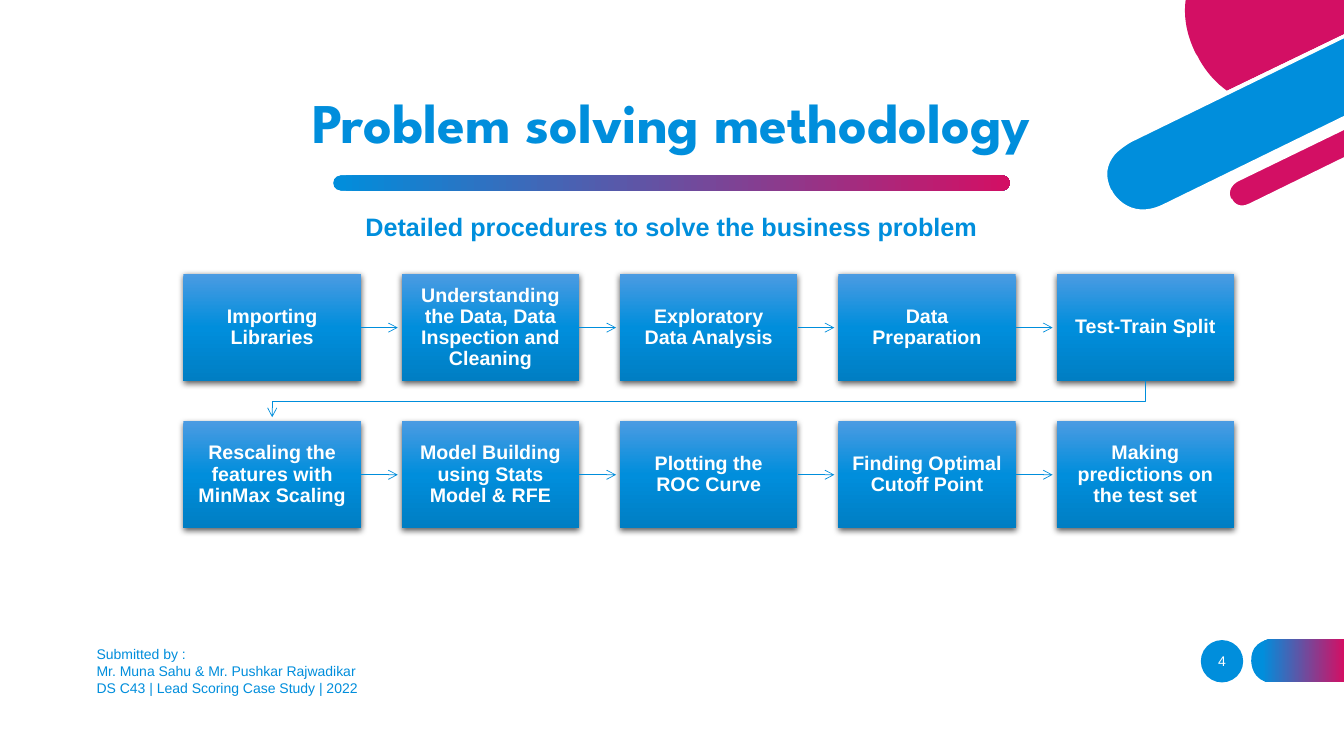
from lxml import etree
from pptx import Presentation
from pptx.dml.color import RGBColor
from pptx.enum.shapes import MSO_CONNECTOR as Connector, MSO_SHAPE as Shape
from pptx.enum.text import MSO_ANCHOR as Anchor, PP_ALIGN as Align
from pptx.oxml import parse_xml
from pptx.oxml.ns import nsdecls, qn
from pptx.util import Inches, Pt

COLORS = {
    "blue": "008EDC", "light_blue": "4B9BE2", "deep_blue": "007EC3",
    "pink": "D30F64", "white": "FFFFFF", "black": "000000",
}
BLUE_TO_PINK = [(0, "blue"), (100, "pink")]
STEPS = [
    ["Importing Libraries", "Understanding the Data, Data Inspection and Cleaning",
     "Exploratory Data Analysis", "Data Preparation", "Test-Train Split"],
    ["Rescaling the features with MinMax Scaling", "Model Building using Stats Model & RFE",
     "Plotting the ROC Curve", "Finding Optimal Cutoff Point",
     "Making predictions on the test set"],
]
# Corner outlines: a pair is a straight line, six numbers are a cubic curve
CORNER = [
    ("white", [(2.4, .81), (2.13, .94), (1.81, 1.1, 1.51, 1.08, 1.26, .89),
               (1.06, .74, .96, .55, .96, .55), (.95, .52), (.86, .34, .82, .16, .85, 0),
               (.81, 0), (.78, .17, .82, .35, .91, .54), (.93, .57),
               (.93, .58, 1.03, .77, 1.23, .92), (1.35, 1.01, 1.51, 1.09, 1.72, 1.09),
               (1.84, 1.09, 1.98, 1.06, 2.15, .98), (2.4, .86)]),
    ("blue", [(.28, 1.39), (.28, 1.39, -.08, 1.57, .08, 1.89), (.08, 1.9),
              (.08, 1.9, .24, 2.22, .61, 2.04), (2.4, 1.17), (2.4, .36)]),
    ("pink", [(.95, .56), (.95, .56, 1.04, .76, 1.24, .9), (2.4, .34), (2.4, 0), (.83, 0),
              (.81, .15, .83, .33, .93, .53)]),
    ("pink", [(2.4, 1.26), (1.34, 1.78), (1.34, 1.78, 1.2, 1.85, 1.27, 1.97), (1.27, 1.98),
              (1.27, 1.98, 1.33, 2.11, 1.47, 2.04), (2.4, 1.58)]),
    ("white", [(1.46, 2.02), (1.34, 2.08, 1.29, 1.98, 1.29, 1.97), (1.28, 1.97),
               (1.23, 1.86, 1.35, 1.8, 1.35, 1.8), (2.4, 1.29), (2.4, 1.24), (1.33, 1.76),
               (1.33, 1.76, 1.26, 1.8, 1.24, 1.87), (1.22, 1.91, 1.23, 1.95, 1.25, 1.99),
               (1.27, 2.03, 1.32, 2.08, 1.39, 2.08), (1.42, 2.08, 1.45, 2.08, 1.48, 2.06),
               (2.4, 1.61), (2.4, 1.56)]),
    ("white", [(.6, 2.03), (.26, 2.19, .1, 1.9, .1, 1.89), (.09, 1.88),
               (.03, 1.75, .04, 1.64, .13, 1.53), (.2, 1.46, .29, 1.41, .29, 1.41), (2.4, .38),
               (2.4, .34), (.27, 1.37), (.26, 1.38, .09, 1.46, .03, 1.63),
               (0, 1.71, .01, 1.8, .06, 1.9), (.06, 1.91), (.06, 1.91, .17, 2.12, .4, 2.12),
               (.46, 2.12, .53, 2.1, .61, 2.06), (2.4, 1.19), (2.4, 1.15)]),
]


def rgb(name):
    return RGBColor.from_string(COLORS[name])


def paint_solid(shape, color):
    shape.fill.solid()
    shape.fill.fore_color.rgb = rgb(color)
    shape.line.fill.background()
    shape.shadow.inherit = False


def paint_gradient(shape, stops, angle=0):
    paint_solid(shape, "blue")
    solid = shape._element.spPr.find(qn("a:solidFill"))
    marks = "".join(f'<a:gs pos="{at * 1000}"><a:srgbClr val="{COLORS[color]}"/></a:gs>'
                    for at, color in stops)
    solid.getparent().replace(solid, parse_xml(
        f'<a:gradFill {nsdecls("a")} rotWithShape="1"><a:gsLst>{marks}</a:gsLst>'
        f'<a:lin ang="{angle * 60000}" scaled="0"/></a:gradFill>'))


def write(shape, text, size, color, font="Arial", bold=False, align=Align.CENTER,
          anchor=Anchor.MIDDLE, spacing=None, inset=None):
    frame = shape.text_frame
    frame.word_wrap = True
    frame.vertical_anchor = anchor
    if inset is not None:
        frame.margin_left = frame.margin_right = Inches(inset)
        frame.margin_top = frame.margin_bottom = Inches(inset)
    frame.text = text
    for paragraph in frame.paragraphs:
        paragraph.alignment = align
        paragraph.line_spacing = spacing
        for run in paragraph.runs:
            run.font.name, run.font.size, run.font.bold = font, Pt(size), bold
            run.font.color.rgb = rgb(color)


def add_label(slide, left, top, width, height, *args, **style):
    label = slide.shapes.add_textbox(Inches(left), Inches(top), Inches(width), Inches(height))
    write(label, *args, **style)


def add_outline(slide, left, top, outline, close=True):
    ends = [(Inches(left + piece[-2]), Inches(top + piece[-1])) for piece in outline]
    builder = slide.shapes.build_freeform(*ends[0])
    builder.add_line_segments(ends[1:], close=close)
    shape = builder.convert_to_shape()
    # Bend the segments that have control points
    segments = list(shape._element.spPr.iter(qn("a:lnTo")))
    for segment, piece in zip(segments, outline[1:]):
        if len(piece) == 6:
            curve = etree.Element(qn("a:cubicBezTo"))
            for x, y in zip(piece[::2], piece[1::2]):
                etree.SubElement(curve, qn("a:pt"), x=str(Inches(left + x) - shape.left),
                                 y=str(Inches(top + y) - shape.top))
            segment.getparent().replace(segment, curve)
    return shape


def style_arrow(arrow):
    arrow.line.color.rgb = rgb("blue")
    arrow.line.width = Pt(0.5)
    etree.SubElement(arrow.line._get_or_add_ln(), qn("a:tailEnd"), type="arrow")


def add_corner(slide, left, top):
    for color, outline in CORNER:
        paint_solid(add_outline(slide, left, top, outline), color)


def add_heading(slide, left, top, width):
    add_label(slide, left, top, width, 0.74, "Problem solving methodology", 40, "blue",
              font="League Spartan", bold=True, anchor=Anchor.BOTTOM, spacing=0.9)
    rule_width = 6.71
    rule = slide.shapes.add_shape(
        Shape.ROUNDED_RECTANGLE, Inches(left + (width - rule_width) / 2), Inches(top + 0.89),
        Inches(rule_width), Inches(0.15))
    rule.adjustments[0] = 0.5
    paint_gradient(rule, BLUE_TO_PINK)
    add_label(slide, left, top + 1.23, width, 0.77,
              "Detailed procedures to solve the business problem", 18, "blue",
              bold=True, anchor=Anchor.TOP, spacing=0.9)


def add_step(slide, left, top, width, height, text):
    step = slide.shapes.add_shape(Shape.RECTANGLE, Inches(left), Inches(top),
                                  Inches(width), Inches(height))
    paint_gradient(step, [(0, "light_blue"), (50, "blue"), (100, "deep_blue")], 90)
    step._element.spPr.find(qn("a:effectLst")).append(parse_xml(
        f'<a:outerShdw {nsdecls("a")} blurRad="{Pt(4.5)}" dist="{Pt(1.5)}" dir="5400000" '
        f'algn="ctr" rotWithShape="0"><a:srgbClr val="{COLORS["black"]}">'
        '<a:alpha val="63000"/></a:srgbClr></a:outerShdw>'))
    write(step, text, 14, "white", bold=True, spacing=0.9, inset=0.11)
    return step


def add_process(slide, left, top, width, height):
    step_width, step_height, clearance = 1.76, 1.06, 0.04
    pitch_x = (width - step_width) / (len(STEPS[0]) - 1)
    pitch_y = height - step_height
    for row, texts in enumerate(STEPS):
        y = top + row * pitch_y
        for column, text in enumerate(texts):
            x = left + column * pitch_x
            step = add_step(slide, x, y, step_width, step_height, text)
            if column < len(texts) - 1:
                middle = Inches(y + step_height / 2)
                arrow = slide.shapes.add_connector(
                    Connector.STRAIGHT, Inches(x + step_width), middle,
                    Inches(x + pitch_x - clearance), middle)
                arrow.begin_connect(step, 3)
                style_arrow(arrow)
                etree.SubElement(arrow._element.spPr, qn("a:effectLst"))
    # Return path from the end of the first row to the start of the second
    first, last = step_width / 2, width - step_width / 2
    turn = (step_height + pitch_y) / 2
    path_back = add_outline(slide, left, top, [
        (last, step_height), (last, turn), (first, turn), (first, pitch_y - clearance)],
        close=False)
    path_back.fill.background()
    path_back.shadow.inherit = False
    style_arrow(path_back)


def add_footer(slide, left, top, right):
    add_label(slide, left, top + 0.03, 5.62, 0.59,
              "Submitted by :\nMr. Muna Sahu & Mr. Pushkar Rajwadikar\n"
              "DS C43 | Lead Scoring Case Study | 2022", 10, "blue", align=Align.LEFT)
    page_number = slide.shapes.add_shape(Shape.OVAL, Inches(right - 1.42), Inches(top + 0.02),
                                         Inches(0.42), Inches(0.42))
    paint_solid(page_number, "blue")
    write(page_number, "4", 10, "white", inset=0)
    edge_tab = add_outline(slide, right - 0.92, top + 0.01, [
        (0.21, 0.43), (0.92, 0.43), (0.92, 0), (0.21, 0),
        (0.21, 0, 0, 0, 0, 0.21), (0, 0.22), (0, 0.22, 0, 0.43, 0.21, 0.43)])
    paint_gradient(edge_tab, [(12, "blue"), (100, "pink")])


def main():
    deck = Presentation()
    deck.slide_width, deck.slide_height = Inches(13.33), Inches(7.5)
    slide = deck.slides.add_slide(deck.slide_layouts[6])
    add_corner(slide, 10.93, 0)
    add_heading(slide, 0.91, 0.85, 11.5)
    add_process(slide, 1.82, 2.72, 10.42, 2.52)
    add_footer(slide, 0.86, 6.33, 13.33)
    deck.save("out.pptx")


if __name__ == "__main__":
    main()
